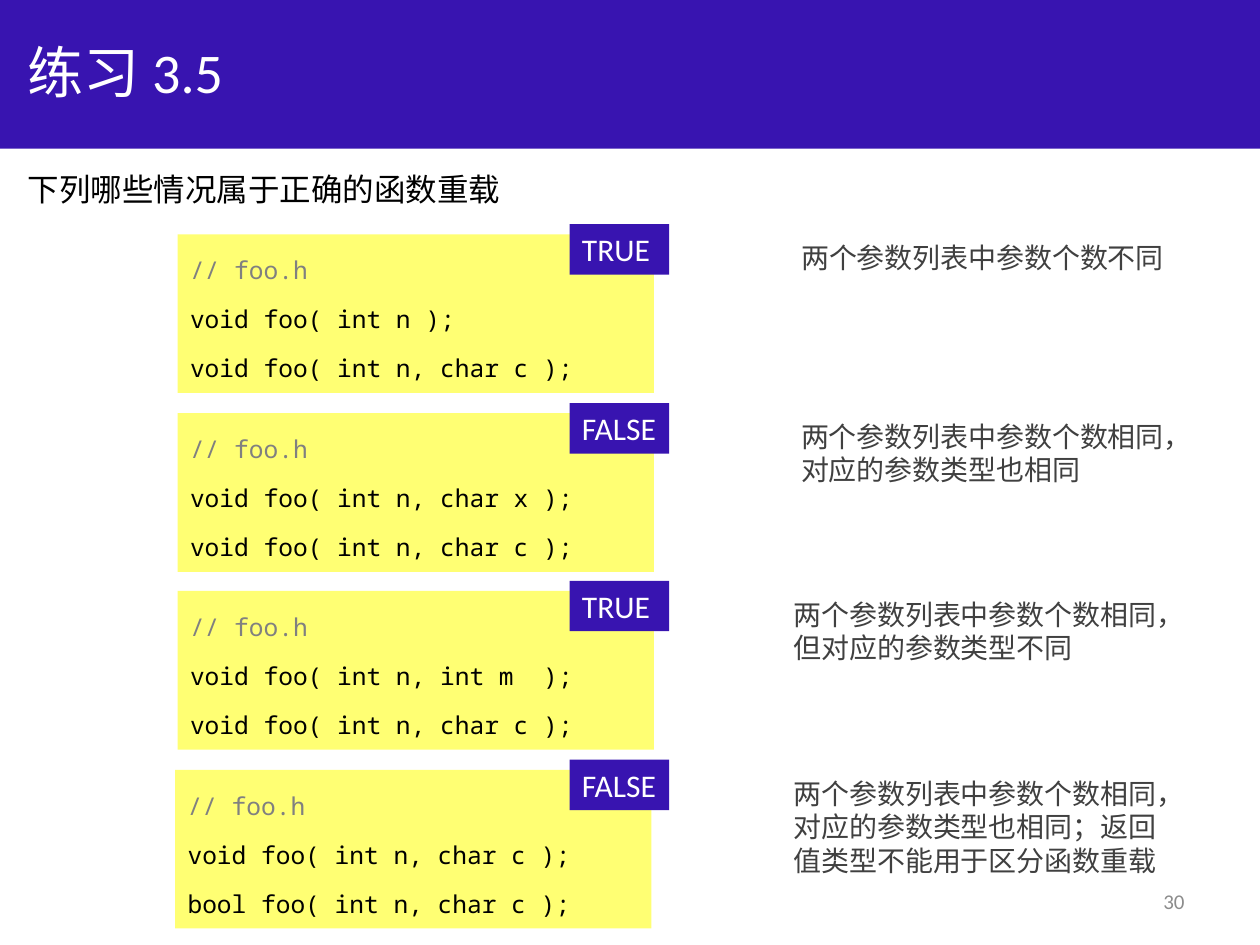
from lxml.etree import SubElement
from pptx import Presentation
from pptx.dml.color import RGBColor
from pptx.enum.shapes import MSO_SHAPE
from pptx.enum.text import MSO_ANCHOR, MSO_AUTO_SIZE, PP_ALIGN
from pptx.oxml.ns import qn
from pptx.util import Inches, Pt

COLORS = {
    "indigo": "3814B0", "yellow": "FFFF73", "white": "FFFFFF", "black": "000000",
    "comment": "808080", "reason": "404040", "number": "8C8C8C",
}
LATIN, CHINESE, MONO = "Calibri", "Noto Sans CJK SC", "Noto Sans Mono"

TITLE = "练习 3.5"
QUESTION = "下列哪些情况属于正确的函数重载"
PAGE_NUMBER = "30"
SAME_COUNT = "两个参数列表中参数个数相同，"
CASES = [
    {"code": ["void foo( int n );", "void foo( int n, char c );"],
     "verdict": "TRUE", "code_left": 1.41, "reason_left": 6.26,
     "reason": ["两个参数列表中参数个数不同"], "reason_size": (3.12, 0.37)},
    {"code": ["void foo( int n, char x );", "void foo( int n, char c );"],
     "verdict": "FALSE", "code_left": 1.41, "reason_left": 6.26,
     "reason": [SAME_COUNT, "对应的参数类型也相同"], "reason_size": (3.34, 0.64)},
    {"code": ["void foo( int n, int m  );", "void foo( int n, char c );"],
     "verdict": "TRUE", "code_left": 1.41, "reason_left": 6.2,
     "reason": [SAME_COUNT, "但对应的参数类型不同"], "reason_size": (3.34, 0.64)},
    {"code": ["void foo( int n, char c );", "bool foo( int n, char c );"],
     "verdict": "FALSE", "code_left": 1.39, "reason_left": 6.2,
     "reason": [SAME_COUNT, "对应的参数类型也相同；返回", "值类型不能用于区分函数重载"],
     "reason_size": (3.34, 0.91)},
]
FIRST_TOP, CASE_PITCH, VERDICT_RISE = 1.86, 1.415, 0.08


def color(name):
    return RGBColor.from_string(COLORS[name])


def write(shape, lines, font, size, ink, wrap=True, grow=True,
          anchor=MSO_ANCHOR.TOP, align=PP_ALIGN.LEFT):
    frame = shape.text_frame
    frame.text = "\n".join(lines)
    frame.word_wrap = wrap
    frame.auto_size = MSO_AUTO_SIZE.SHAPE_TO_FIT_TEXT if grow else MSO_AUTO_SIZE.NONE
    frame.vertical_anchor = anchor
    for paragraph in frame.paragraphs:
        paragraph.alignment = align
        for run in paragraph.runs:
            run.font.name = font
            run.font.size = Pt(size)
            run.font.color.rgb = color(ink)
            east_asian = SubElement(run.font._element, qn("a:ea"))
            east_asian.set("typeface", CHINESE)


def add_text(box, lines, *style, **options):
    shape = slide.shapes.add_textbox(*map(Inches, box))
    write(shape, lines, *style, **options)


def add_block(box, fill):
    shape = slide.shapes.add_shape(MSO_SHAPE.RECTANGLE, *map(Inches, box))
    shape.shadow.inherit = False
    shape.fill.solid()
    shape.fill.fore_color.rgb = color(fill)
    shape.line.fill.background()
    return shape


def add_code(box, lines):
    shape = add_block(box, "yellow")
    write(shape, lines, MONO, 14, "black")
    paragraphs = shape.text_frame.paragraphs
    paragraphs[0].runs[0].font.color.rgb = color("comment")
    for paragraph in paragraphs:
        paragraph.line_spacing = 1.5
        paragraph.space_before = Pt(0)
        before = paragraph._p.pPr.find(qn("a:spcBef"))
        before.remove(before[0])
        SubElement(before, qn("a:spcPct")).set("val", "20000")


presentation = Presentation()
presentation.slide_width, presentation.slide_height = Inches(10), Inches(7.5)
slide = presentation.slides.add_slide(presentation.slide_layouts[6])

add_block((0, 0, 10, 1.18), "indigo")
add_text((0.12, 0.06, 9, 1.01), [TITLE], LATIN, 32, "white",
         grow=False, anchor=MSO_ANCHOR.MIDDLE)
add_text((0.12, 1.3, 3.99, 0.4), [QUESTION], CHINESE, 18, "black", wrap=False)

for index, case in enumerate(CASES):
    top = round(FIRST_TOP + index * CASE_PITCH, 2)
    add_code((case["code_left"], top, 3.78, 1.26), ["// foo.h"] + case["code"])
    verdict = add_block((4.52, top - VERDICT_RISE, 0.79, 0.4), "indigo")
    write(verdict, [case["verdict"]], LATIN, 18, "white", wrap=case["verdict"] == "TRUE")
    add_text((case["reason_left"], top, *case["reason_size"]), case["reason"],
             CHINESE, 16, "reason", wrap=False)

add_text((7.17, 6.95, 2.33, 0.4), [PAGE_NUMBER], LATIN, 12, "number",
         grow=False, anchor=MSO_ANCHOR.MIDDLE, align=PP_ALIGN.RIGHT)

presentation.save("out.pptx")
